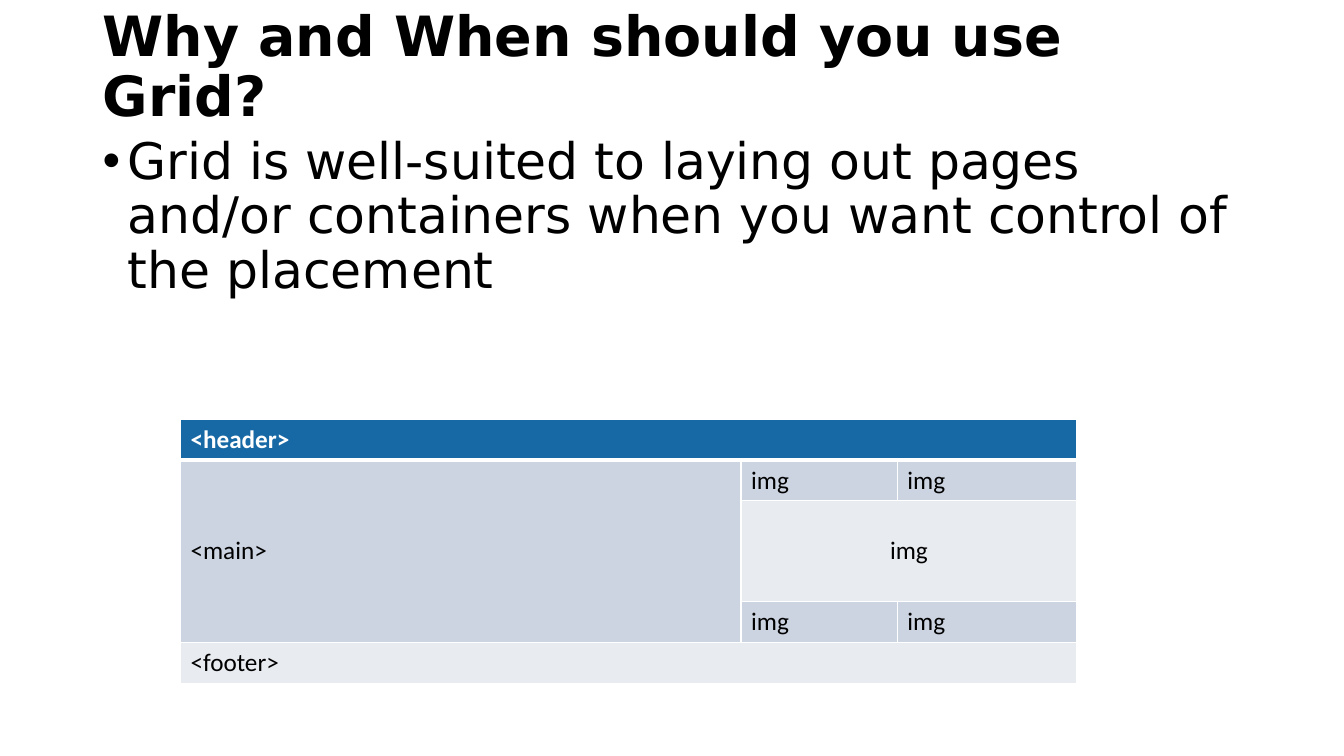
"""Build a slide on when to use Grid, with a sample page layout."""
from lxml.etree import SubElement
from pptx import Presentation
from pptx.dml.color import RGBColor
from pptx.enum.text import MSO_ANCHOR, PP_ALIGN
from pptx.oxml.ns import qn
from pptx.util import Inches, Pt

COLORS = {
    "text": "000000",
    "white": "FFFFFF",
    "header": "1769A5",
    "dark_band": "CCD4E1",
    "light_band": "E8EBF0",
}
COLUMN_WIDTHS = [5.56, 1.55, 1.78]
ROW_HEIGHTS = [0.405, 0.405, 1, 0.405, 0.405]
ROW_FILLS = ["header", "dark_band", "light_band", "dark_band", "light_band"]
MERGES = [((0, 0), (0, 2)), ((1, 0), (3, 0)), ((2, 1), (2, 2)), ((4, 0), (4, 2))]
AREAS = {
    (0, 0): "<header>",
    (1, 0): "<main>",
    (1, 1): "img",
    (1, 2): "img",
    (2, 1): "img",
    (3, 1): "img",
    (3, 2): "img",
    (4, 0): "<footer>",
}


def rgb(color):
    """Return the named colour."""
    return RGBColor.from_string(COLORS[color])


def write(frame, text, font="Calibri", size=18, color="text", bold=False,
          align=PP_ALIGN.LEFT, line_spacing=1.0, bullet=None, indent=0.25):
    """Write one formatted paragraph into a text frame."""
    paragraph = frame.paragraphs[0]
    paragraph.alignment = align
    paragraph.line_spacing = line_spacing
    if bullet:
        properties = paragraph._p.get_or_add_pPr()
        properties.set("marL", str(Inches(indent)))
        properties.set("indent", str(-Inches(indent)))
        SubElement(properties, qn("a:buFont")).set("typeface", "Arial")
        SubElement(properties, qn("a:buChar")).set("char", bullet)
    run = paragraph.add_run()
    run.text = text
    run.font.name = font
    run.font.size = Pt(size)
    run.font.bold = bold
    run.font.color.rgb = rgb(color)


def add_passage(slide, box, text, anchor, **text_format):
    """Place a wrapping passage of text in the given box."""
    frame = slide.shapes.add_textbox(*map(Inches, box)).text_frame
    frame.word_wrap = True
    frame.vertical_anchor = anchor
    write(frame, text, font="DejaVu Sans", line_spacing=0.9, **text_format)


def style_cell(cell, fill, top, bottom):
    """Give a cell its white borders and its fill."""
    properties = cell._tc.get_or_add_tcPr()
    for side, width in (("L", 1), ("R", 1), ("T", top), ("B", bottom)):
        border = SubElement(properties, qn(f"a:ln{side}"), w=str(Pt(width)))
        paint = SubElement(border, qn("a:solidFill"))
        SubElement(paint, qn("a:srgbClr"), val=COLORS["white"])
    cell.fill.solid()
    cell.fill.fore_color.rgb = rgb(fill)


def add_page_layout(slide, left, top):
    """Draw the sample page as a table with merged areas."""
    size = sum(COLUMN_WIDTHS), sum(ROW_HEIGHTS)
    page = slide.shapes.add_table(
        len(ROW_HEIGHTS), len(COLUMN_WIDTHS), *map(Inches, (left, top, *size))
    ).table
    page.horz_banding = False
    for column, width in zip(page.columns, COLUMN_WIDTHS):
        column.width = Inches(width)
    for index, (row, height) in enumerate(zip(page.rows, ROW_HEIGHTS)):
        row.height = Inches(height)
        for cell in row.cells:
            style_cell(cell, ROW_FILLS[index], top=3 if index == 1 else 1,
                       bottom=3 if index == 0 else 1)
    for start, end in MERGES:
        page.cell(*start).merge(page.cell(*end))
    for (row, column), label in AREAS.items():
        cell = page.cell(row, column)
        is_header = row == 0
        is_wide_image = (row, column) == (2, 1)
        cell.vertical_anchor = (
            MSO_ANCHOR.MIDDLE if cell.is_merge_origin and 0 < row < 4 else MSO_ANCHOR.TOP
        )
        write(cell.text_frame, label, bold=is_header,
              color="white" if is_header else "text",
              align=PP_ALIGN.CENTER if is_wide_image else PP_ALIGN.LEFT)


def main():
    """Build and save the presentation."""
    presentation = Presentation()
    presentation.slide_width = Inches(13.33)
    presentation.slide_height = Inches(7.5)
    slide = presentation.slides.add_slide(presentation.slide_layouts[6])
    add_passage(slide, (0.92, 0.27, 11.5, 0.82), "Why and When should you use Grid?",
                MSO_ANCHOR.MIDDLE, size=39.6, bold=True)
    add_passage(slide, (0.92, 1.3, 11.5, 5.18),
                "Grid is well-suited to laying out pages and/or containers "
                "when you want control of the placement",
                MSO_ANCHOR.TOP, size=36, bullet="•")
    add_page_layout(slide, 1.79, 4.16)
    presentation.save("out.pptx")


if __name__ == "__main__":
    main()
